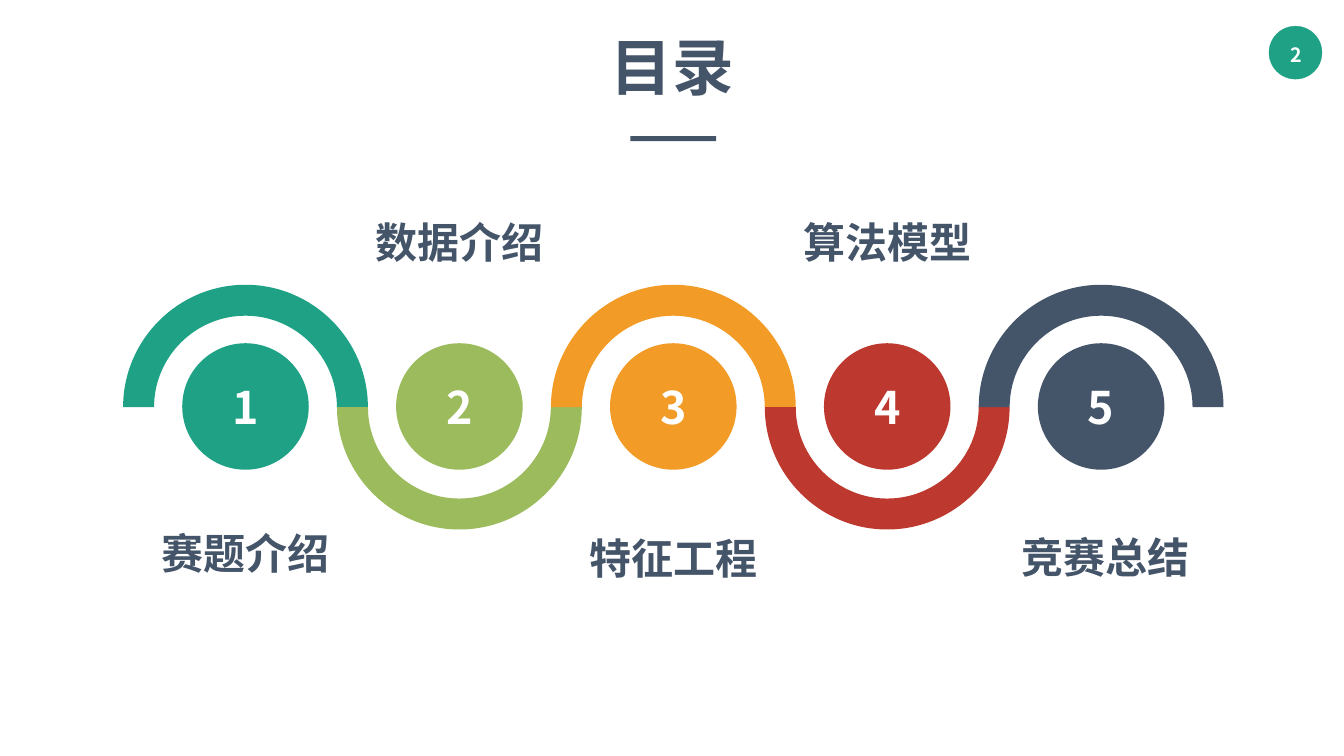
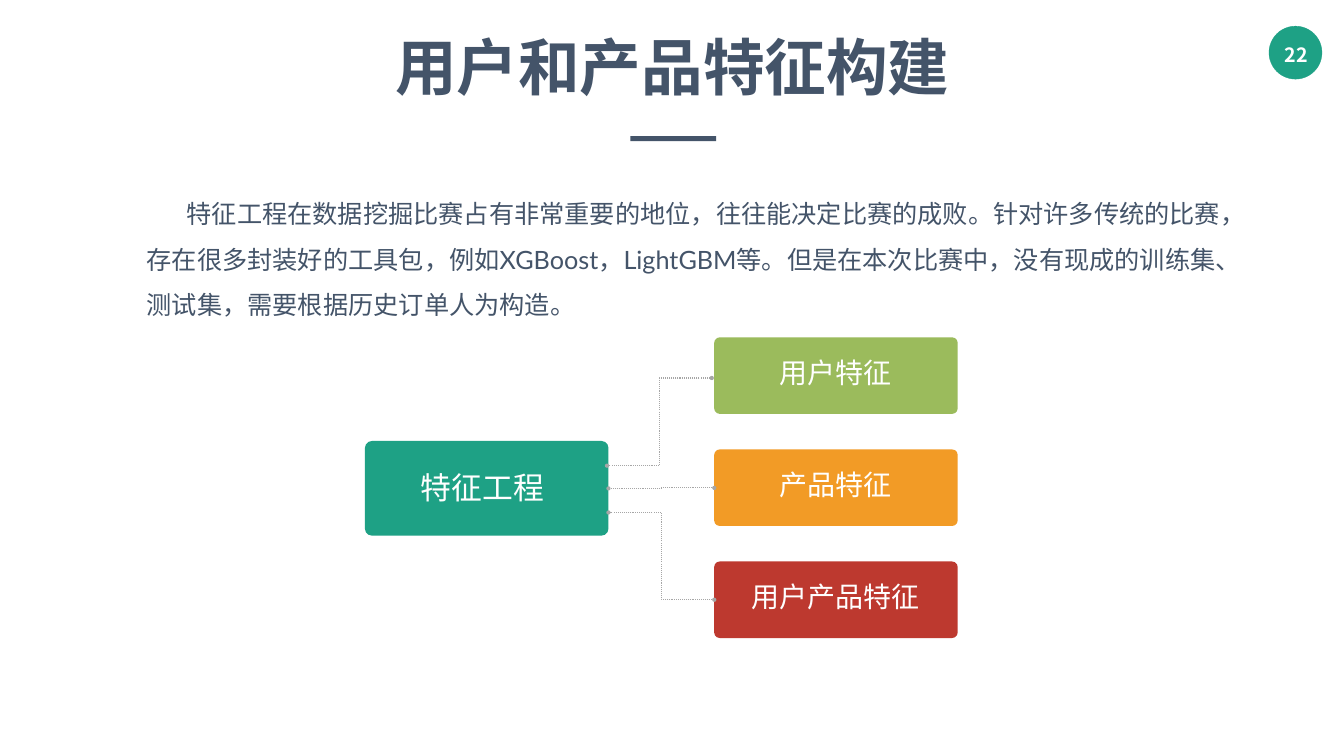
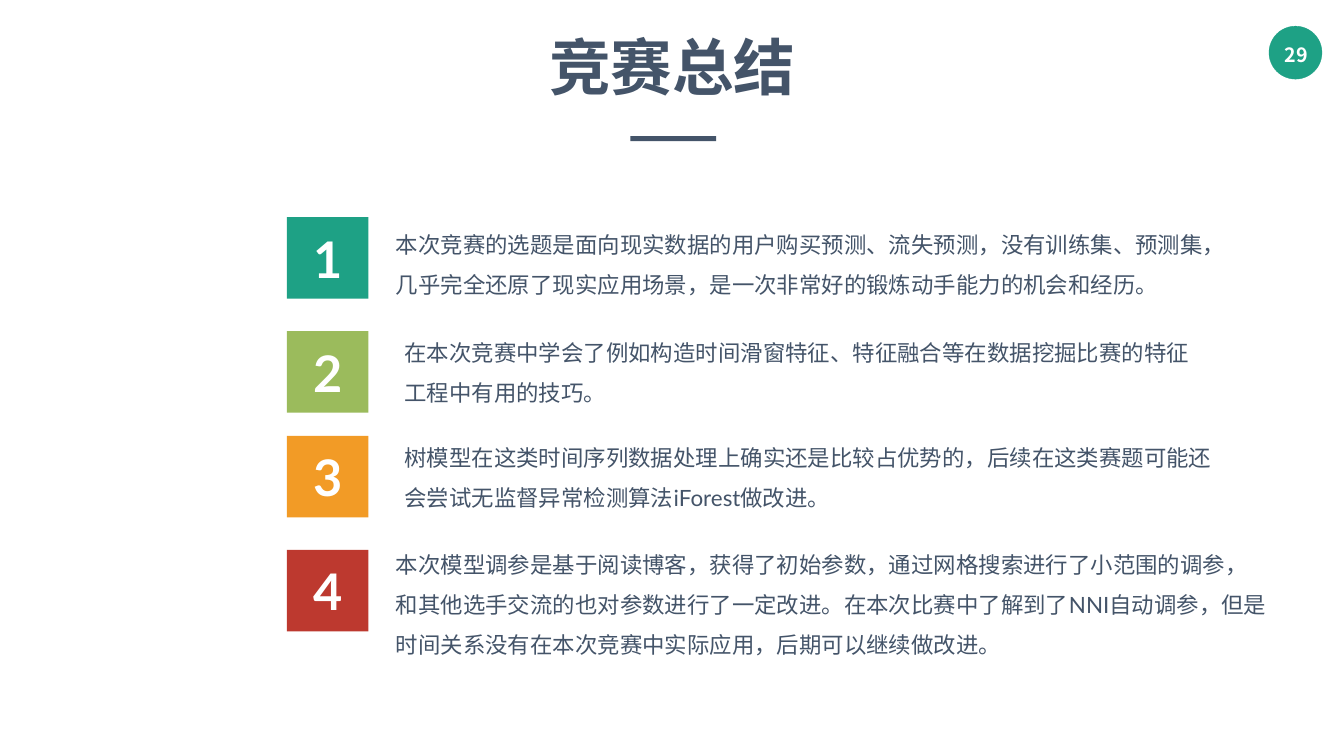
from lxml import etree
from pptx import Presentation
from pptx.dml.color import RGBColor
from pptx.enum.dml import MSO_LINE
from pptx.enum.shapes import MSO_CONNECTOR, MSO_SHAPE
from pptx.enum.text import MSO_ANCHOR, MSO_AUTO_SIZE, PP_ALIGN
from pptx.oxml.ns import qn
from pptx.util import Pt

RECT, ROUND, OVAL = MSO_SHAPE.RECTANGLE, MSO_SHAPE.ROUNDED_RECTANGLE, MSO_SHAPE.OVAL
ELBOW, DOTTED = MSO_CONNECTOR.ELBOW, MSO_LINE.ROUND_DOT
LEFT, CENTER = PP_ALIGN.LEFT, PP_ALIGN.CENTER
TOP, MIDDLE = MSO_ANCHOR.TOP, MSO_ANCHOR.MIDDLE
GROW = MSO_AUTO_SIZE.SHAPE_TO_FIT_TEXT

TEAL, GREEN, ORANGE, RED, NAVY = COLORS = ["1EA185", "9BBB5C", "F29B26", "BD392F", "445469"]
WHITE, GRAY = "FFFFFF", "A6A6A6"
CJK, LATO = "Noto Sans CJK SC", "Lato"


def rgb(color):
    return RGBColor.from_string(color)


def add_box(s, x, y, w, h, kind=None, fill=None, text="", size=36, font=CJK, color=WHITE,
            bold=False, align=CENTER, anchor=TOP, inset=(14.4, 7.2), wrap=True, grow=False):
    """Add a shape, or a text box when no kind is given."""
    place = Pt(x), Pt(y), Pt(w), Pt(h)
    if kind is None:
        sp = s.shapes.add_textbox(*place)
    else:
        sp = s.shapes.add_shape(kind, *place)
        sp.shadow.inherit = False
        sp.fill.solid()
        sp.fill.fore_color.rgb = rgb(fill)
        sp.line.fill.background()
    if text:
        tf = sp.text_frame
        tf.text = text
        tf.word_wrap = wrap
        tf.vertical_anchor = anchor
        tf.margin_left = tf.margin_right = Pt(inset[0])
        tf.margin_top = tf.margin_bottom = Pt(inset[1])
        if grow:
            tf.auto_size = GROW
        p = tf.paragraphs[0]
        p.alignment = align
        r = p.runs[0]
        r.font.size, r.font.name, r.font.bold = Pt(size), font, bold
        r.font.color.rgb = rgb(color)
        etree.SubElement(r.font._element, qn("a:ea")).set("typeface", CJK)
    return sp


prs = Presentation()
prs.slide_width, prs.slide_height = Pt(1919.48), Pt(1080)

# Page badge, title and rule on every slide
slides = []
for page, title in [("2", "目录"), ("22", "用户和产品特征构建"), ("29", "竞赛总结")]:
    s = prs.slides.add_slide(prs.slide_layouts[6])
    badge = add_box(s, 1812.4, 37.4, 75.6, 75.6, OVAL, TEAL)
    badge.line.color.rgb = rgb(TEAL)
    badge.line.width = Pt(0.5)
    add_box(s, 1816.6, 53.6, 69.8, 48.2, text=page, size=28, bold=True, wrap=False, grow=True)
    add_box(s, 473.3, 38.2, 973.4, 113.8, text=title, size=88, color=NAVY, bold=True,
            inset=(7.2, 3.6), grow=True)
    add_box(s, 900.3, 194.4, 122.4, 7.2, RECT, NAVY)
    slides.append(s)
contents, features, summary = slides

# Contents: a wave of half rings around numbered circles
CENTER_Y, OUTER, INNER, DISC = 581.6, 174.8, 130.6, 180.7
CURVE = 0.55
quarters = [(1, 0), (1, CURVE), (CURVE, 1), (0, 1), (-CURVE, 1), (-1, CURVE), (-1, 0)]
ring = [(OUTER * x, OUTER * y) for x, y in quarters]
ring += [(INNER * x, INNER * y) for x, y in reversed(quarters)]
labels = [("赛题介绍", 220.3, 761.8), ("数据介绍", 526.8, 317.5), ("特征工程", 831.6, 769.4),
          ("算法模型", 1137.6, 316.8), ("竞赛总结", 1448.6, 767.5)]
for i, (label, x, y) in enumerate(labels):
    cx = 350.6 + 305.5 * i
    side = -1 if i % 2 == 0 else 1
    points = [(Pt(cx + dx), Pt(CENTER_Y + side * dy)) for dx, dy in ring]
    builder = contents.shapes.build_freeform(*points[0])
    builder.add_line_segments(points[1:])
    sp = builder.convert_to_shape()
    sp.shadow.inherit = False
    sp.fill.solid()
    sp.fill.fore_color.rgb = rgb(COLORS[i])
    sp.line.fill.background()
    # Each run of three points becomes one quarter curve
    segments = list(sp._element.iter(qn("a:lnTo")))
    for first in (0, 3, 7, 10):
        curve = etree.Element(qn("a:cubicBezTo"))
        segments[first].addprevious(curve)
        for segment in segments[first:first + 3]:
            curve.append(segment[0])
            segment.getparent().remove(segment)
    add_box(contents, cx - DISC / 2, CENTER_Y - DISC / 2 - 0.9, DISC, DISC, OVAL, COLORS[i],
            str(i + 1), 64, bold=True, anchor=MIDDLE)
    sp = add_box(contents, x, y, 259.9, 50.4, text=label, size=60, color=NAVY, bold=True,
                 inset=(0, 0))
    p = sp.text_frame.paragraphs[0]
    p.line_spacing, p.space_before = 0.9, Pt(7.5)

# Features: one root box and three branches
nodes = [("用户特征", GREEN, 1020, 481.9, 109.4, 1098.3, 501.1, 190.8, 63.4, 40),
         ("产品特征", ORANGE, 1020, 642, 109.4, 1098.3, 661, 190.8, 63.4, 40),
         ("用户产品特征", RED, 1020, 802.1, 109.4, 1057.7, 821.2, 271.4, 63.4, 40),
         ("特征工程", TEAL, 521.2, 630, 135.2, 585.8, 662.4, 206.6, 67.7, 44)]
for text, color, x, y, h, text_x, text_y, text_w, text_h, size in nodes:
    add_box(features, x, y, 347.8, h, ROUND, color).adjustments[0] = 0.073
    add_box(features, text_x, text_y, text_w, text_h, RECT, color, text, size,
            wrap=False, grow=True)

for x1, y1, x2, y2 in [(1016.6, 540, 866.9, 665.3), (1020.2, 856.8, 869, 732.2),
                       (1020.2, 697, 869, 697.7)]:
    link = features.shapes.add_connector(ELBOW, Pt(x1), Pt(y1), Pt(x2), Pt(y2))
    link.line.color.rgb = rgb(GRAY)
    link.line.width = Pt(1.5)
    link.line.dash_style = DOTTED
    ln = link.line._get_or_add_ln()
    for end in ("a:headEnd", "a:tailEnd"):
        etree.SubElement(ln, qn(end)).set("type", "oval")
    etree.SubElement(link._element.spPr, qn("a:effectLst"))

# Features: introduction with an indented first line
intro = ("特征工程在数据挖掘比赛占有非常重要的地位，往往能决定比赛的成败。针对许多传统的比赛，"
         "存在很多封装好的工具包，例如XGBoost，LightGBM等。但是在本次比赛中，没有现成的训练集、"
         "测试集，需要根据历史订单人为构造。")
sp = add_box(features, 202.5, 258.5, 1568.2, 195.8, text=intro, size=36, font=LATO, color=NAVY,
             align=LEFT, inset=(7.2, 3.6), grow=True)
p = sp.text_frame.paragraphs[0]
p.line_spacing = 1.5
p._p.get_or_add_pPr().set("indent", str(Pt(57)))

# Summary: numbered squares with a paragraph each
points = [
    (310.2, 558.3, 307.4, 1188, 116.6,
     "本次竞赛的选题是面向现实数据的用户购买预测、流失预测，没有训练集、预测集，"
     "几乎完全还原了现实应用场景，是一次非常好的锻炼动手能力的机会和经历。"),
    (473, 570.5, 461.1, 1160.6, 116.6,
     "在本次竞赛中学会了例如构造时间滑窗特征、特征融合等在数据挖掘比赛的特征工程中有用的技巧。"),
    (622.7, 570.5, 611.3, 1188, 116.6,
     "树模型在这类时间序列数据处理上确实还是比较占优势的，后续在这类赛题可能还会尝试"
     "无监督异常检测算法iForest做改进。"),
    (785.5, 558.3, 763.9, 1258.6, 175,
     "本次模型调参是基于阅读博客，获得了初始参数，通过网格搜索进行了小范围的调参，"
     "和其他选手交流的也对参数进行了一定改进。在本次比赛中了解到了NNI自动调参，"
     "但是时间关系没有在本次竞赛中实际应用，后期可以继续做改进。"),
]
for i, (square_y, x, y, w, h, text) in enumerate(points):
    add_box(summary, 409.7, square_y, 116.6, 116.6, RECT, COLORS[i], str(i + 1), 72, LATO,
            bold=True, anchor=MIDDLE)
    sp = add_box(summary, x, y, w, h, text=text, size=32, font=LATO, color=NAVY, align=LEFT,
                 inset=(7.2, 3.6), grow=True)
    sp.text_frame.paragraphs[0].line_spacing = 1.5

prs.save("out.pptx")
